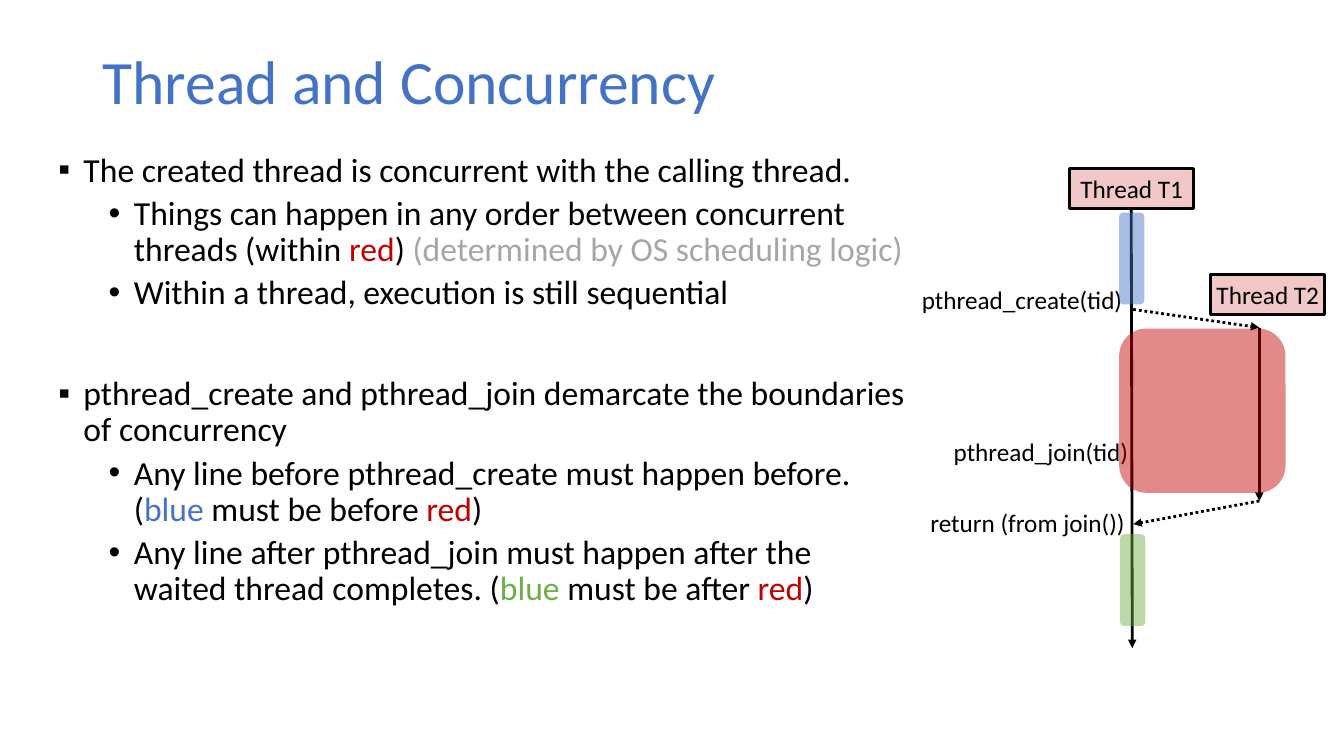
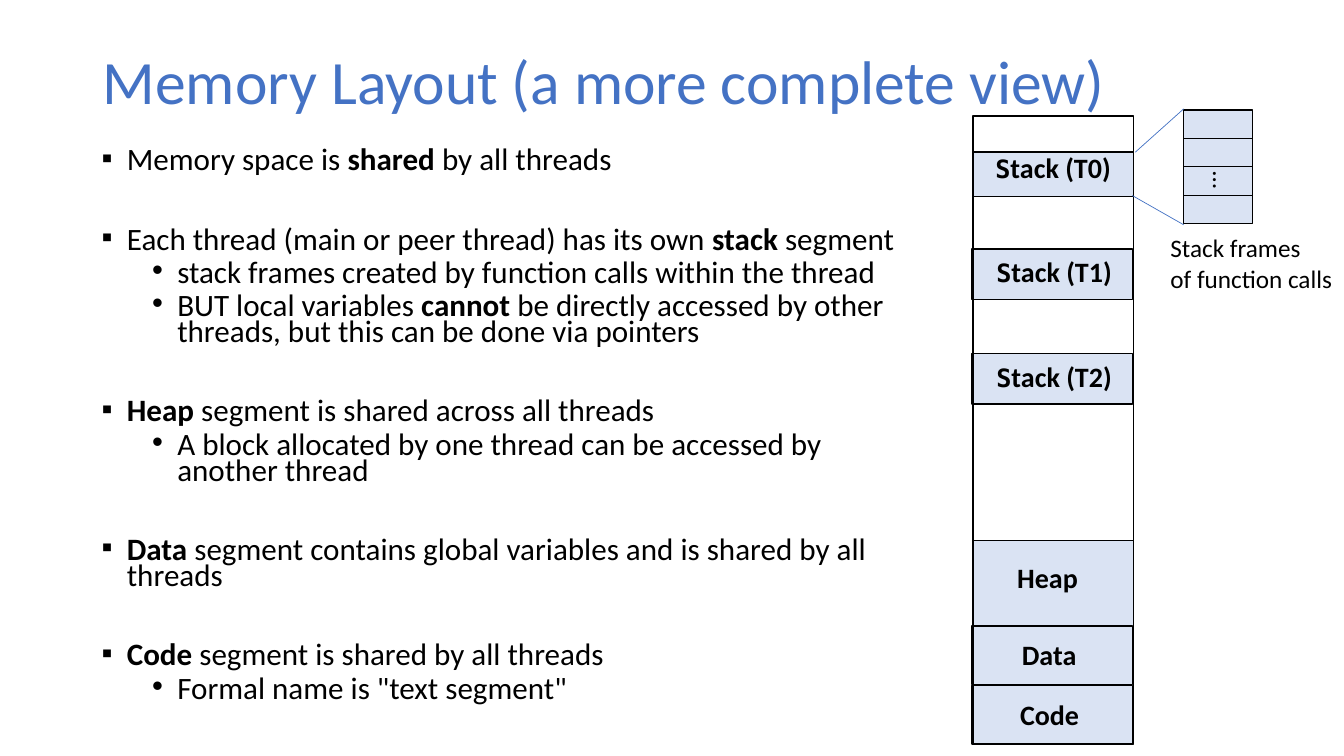
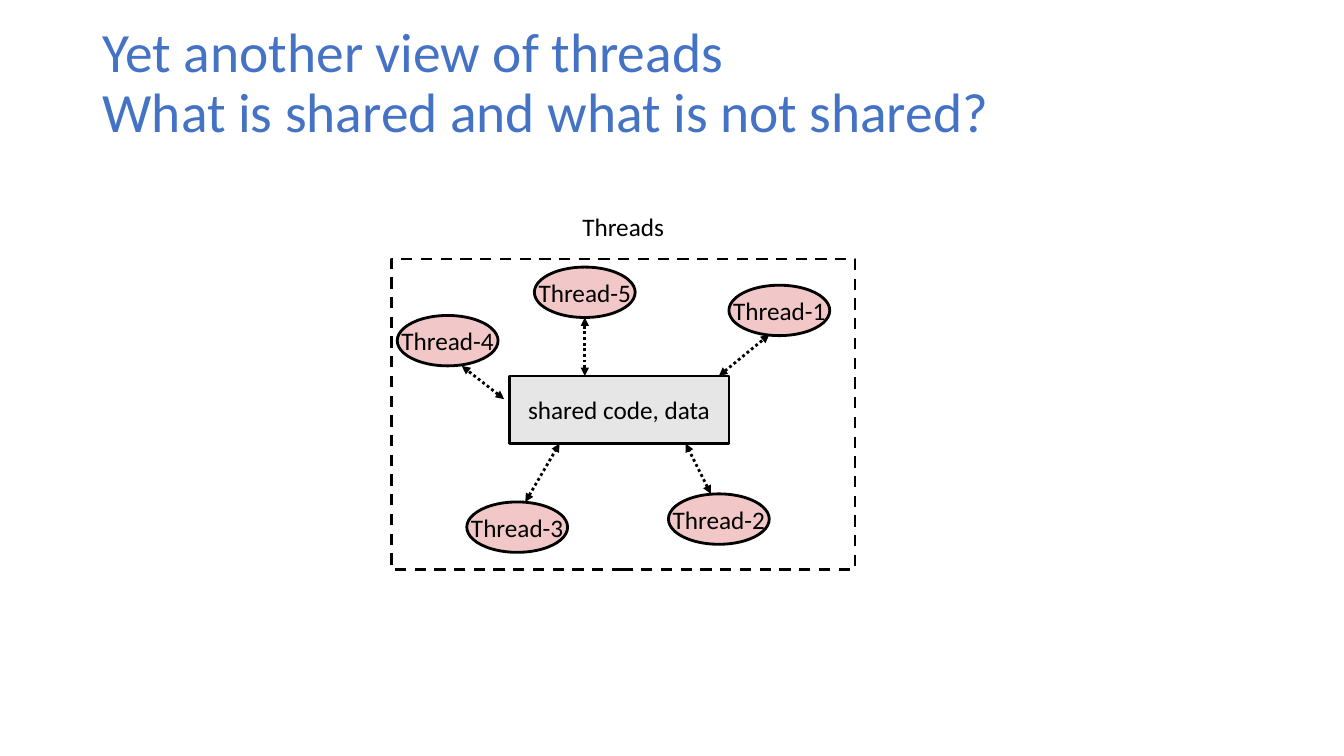
from dataclasses import dataclass

import lxml.etree
import pptx
import pptx.dml.color
import pptx.enum.dml
import pptx.enum.shapes
import pptx.enum.text
import pptx.oxml.ns
import pptx.util

Inches = pptx.util.Inches
Pt = pptx.util.Pt
qn = pptx.oxml.ns.qn
Shape = pptx.enum.shapes.MSO_SHAPE
Align = pptx.enum.text.PP_ALIGN
Anchor = pptx.enum.text.MSO_ANCHOR
Dash = pptx.enum.dml.MSO_LINE


@dataclass(frozen=True)
class Theme:
    blue: str = "4472C4"
    red: str = "C00000"
    green: str = "70AD47"
    grey: str = "A6A6A6"
    black: str = "000000"
    pink: str = "F1C7C7"
    segment: str = "DAE3F3"
    shared: str = "E6E6E6"
    font: str = "Calibri"
    mono: str = "DejaVu Sans Mono"
    title: float = 44
    two_line_title: float = 39.6
    body: float = 24
    dense_body: float = 22.2
    segment_label: float = 20
    label: float = 18
    thick: float = 2
    thin: float = 1
    hairline: float = 0.5


THEME = Theme()


@dataclass(frozen=True)
class Rect:
    left: float
    top: float
    width: float
    height: float

    def emu(self) -> tuple:
        return tuple(Inches(v) for v in (self.left, self.top, self.width, self.height))


@dataclass(frozen=True)
class Span:
    text: str
    color: str = THEME.black
    bold: bool = False
    font: str = THEME.font
    size: float = THEME.label


@dataclass(frozen=True)
class Item:
    """One bulleted paragraph; before is the space above it in points."""
    spans: tuple[Span, ...]
    level: int = 0
    before: float = 10


@dataclass(frozen=True)
class Arrow:
    start: tuple[float, float]
    end: tuple[float, float]
    dotted: bool = True


@dataclass(frozen=True)
class Segment:
    rect: Rect
    label: Rect
    spans: tuple[Span, ...]
    align: Align = Align.CENTER


TITLE_RECT = Rect(0.92, 0.4, 11.5, 0.87)


def rgb(color: str):
    return pptx.dml.color.RGBColor.from_string(color)


def add_span(para, span: Span, size: float) -> None:
    run = para.add_run()
    run.text = span.text
    run.font.name = span.font
    run.font.size = Pt(size)
    run.font.bold = span.bold
    run.font.color.rgb = rgb(span.color)


def add_text(page, rect: Rect, *lines: tuple[Span, ...], align=Align.LEFT,
             wrap: bool = True, anchor=Anchor.TOP):
    box = page.shapes.add_textbox(*rect.emu())
    fill_text(box.text_frame, lines, align, wrap, anchor)
    return box


def fill_text(frame, lines, align, wrap: bool, anchor) -> None:
    frame.word_wrap = wrap
    frame.vertical_anchor = anchor
    for index, spans in enumerate(lines):
        para = frame.add_paragraph() if index else frame.paragraphs[0]
        para.alignment = align
        for span in spans:
            add_span(para, span, span.size)


def add_title(page, *lines: str, size: float = THEME.title) -> None:
    box = page.shapes.add_textbox(*TITLE_RECT.emu())
    box.text_frame.word_wrap = True
    box.text_frame.vertical_anchor = Anchor.MIDDLE
    para = box.text_frame.paragraphs[0]
    para.line_spacing = 0.9
    for index, line in enumerate(lines):
        if index:
            para.add_line_break()
        add_span(para, Span(line, THEME.blue), size)


def add_bullets(page, rect: Rect, items: tuple[Item, ...], size: float, spacing: float) -> None:
    frame = page.shapes.add_textbox(*rect.emu()).text_frame
    frame.word_wrap = True
    for index, item in enumerate(items):
        para = frame.add_paragraph() if index else frame.paragraphs[0]
        props = para._p.get_or_add_pPr()
        props.set("marL", str(Inches(0.25 + 0.5 * item.level)))
        props.set("indent", str(Inches(-0.25)))
        lxml.etree.SubElement(props, qn("a:buFont"), typeface="Arial")
        lxml.etree.SubElement(props, qn("a:buChar"), char="▪•"[item.level])
        para.level = item.level
        para.line_spacing = spacing
        para.space_before = Pt(item.before if index else 0)
        for span in item.spans:
            add_span(para, span, size)


def add_box(page, rect: Rect, fill: str | None = None, width: float | None = THEME.thick,
            kind=Shape.RECTANGLE, text: str = "", dashed: bool = False):
    """Draw a shape; no fill or no line width leaves that part out."""
    box = page.shapes.add_shape(kind, *rect.emu())
    box.shadow.inherit = False
    if fill:
        box.fill.solid()
        box.fill.fore_color.rgb = rgb(fill)
    else:
        box.fill.background()
    if width:
        box.line.color.rgb = rgb(THEME.black)
        box.line.width = Pt(width)
        if dashed:
            box.line.dash_style = Dash.DASH
    else:
        box.line.fill.background()
    if text:
        fill_text(box.text_frame, ((Span(text),),), Align.CENTER, False, Anchor.MIDDLE)
    return box


def add_period(page, rect: Rect, color: str) -> None:
    """Mark a stretch of execution with a translucent rounded box."""
    box = add_box(page, rect, color, None, Shape.ROUNDED_RECTANGLE)
    tint = box._element.spPr.find(qn("a:solidFill")).find(qn("a:srgbClr"))
    lxml.etree.SubElement(tint, qn("a:alpha"), val="46000")


def add_line(page, arrow: Arrow, color: str = THEME.black, width: float = THEME.thick,
             ends: tuple[str, ...] = ("tailEnd",)) -> None:
    points = (Inches(v) for v in arrow.start + arrow.end)
    line = page.shapes.add_connector(pptx.enum.shapes.MSO_CONNECTOR.STRAIGHT, *points)
    line.line.color.rgb = rgb(color)
    line.line.width = Pt(width)
    if arrow.dotted:
        line.line.dash_style = Dash.ROUND_DOT
    props = line._element.spPr
    for end in ends:
        lxml.etree.SubElement(props.find(qn("a:ln")), qn(f"a:{end}"), type="triangle")
    lxml.etree.SubElement(props, qn("a:effectLst"))


def build_concurrency(page) -> None:
    red = Span("red", THEME.red)
    add_title(page, "Thread and Concurrency")
    add_bullets(page, Rect(0.48, 1.47, 8.66, 5.29), (
        Item((Span("The created thread is concurrent with the calling thread."),)),
        Item((Span("Things can happen in any order between concurrent threads (within "), red,
              Span(") "), Span("(determined by OS scheduling logic)", THEME.grey)), 1, 5),
        Item((Span("Within a thread, execution is still sequential"),), 1, 5),
        Item((Span("pthread_create and pthread_join demarcate the boundaries of concurrency"),),
             before=46),
        Item((Span("Any line before pthread_create must happen before. ("),
              Span("blue", THEME.blue), Span(" must be before "), red, Span(")")), 1, 5),
        Item((Span("Any line after pthread_join must happen after the waited thread completes. ("),
              Span("blue", THEME.green), Span(" must be after "), red, Span(")")), 1, 5),
    ), THEME.body, 0.9)

    add_box(page, Rect(10.61, 1.67, 1.23, 0.4), THEME.pink, text="Thread T1")
    add_box(page, Rect(12.01, 2.72, 1.13, 0.4), THEME.pink, text="Thread T2")
    fork, start, finish, rejoin = (11.24, 3.07), (12.49, 3.25), (12.49, 4.97), (11.24, 5.2)
    for arrow in (Arrow((11.22, 2.07), (11.23, 6.43), False), Arrow(fork, start),
                  Arrow(start, finish, False), Arrow(finish, rejoin)):
        add_line(page, arrow)
    for text, rect, align, wrap in (
        ("pthread_join(tid)", Rect(9.33, 4.28, 1.96, 0.4), Align.RIGHT, False),
        ("pthread_create(tid)", Rect(9.01, 2.77, 2.22, 0.4), Align.RIGHT, False),
        ("return (from join())", Rect(9.13, 4.98, 2.14, 0.4), Align.LEFT, True),
    ):
        add_text(page, rect, (Span(text),), align=align, wrap=wrap)
    add_period(page, Rect(11.1, 2.11, 0.25, 0.91), THEME.blue)
    add_period(page, Rect(11.1, 3.26, 1.65, 1.63), THEME.red)
    add_period(page, Rect(11.11, 5.3, 0.25, 0.91), THEME.green)


def segment_name(text: str) -> Span:
    return Span(text, bold=True, size=THEME.segment_label)


def stack_name(thread: str) -> tuple[Span, ...]:
    return Span("S", bold=True, font=THEME.mono), segment_name(f"tack ({thread})")


def build_memory(page) -> None:
    add_title(page, "Memory Layout (a more complete view)")
    segments = (
        Segment(Rect(9.65, 1.51, 1.59, 0.44), Rect(9.5, 1.44, 1.89, 0.44), stack_name("T0")),
        Segment(Rect(9.64, 2.47, 1.59, 0.5), Rect(9.66, 2.48, 1.59, 0.44), stack_name("T1")),
        Segment(Rect(9.64, 3.51, 1.59, 0.5), Rect(9.66, 3.52, 1.59, 0.44), stack_name("T2")),
        Segment(Rect(9.65, 5.36, 1.59, 0.87), Rect(9.99, 5.51, 0.89, 0.44),
                (segment_name("Heap"),), Align.LEFT),
        Segment(Rect(9.64, 6.21, 1.59, 0.58), Rect(9.99, 6.28, 0.83, 0.44),
                (segment_name("Data"),)),
        Segment(Rect(9.64, 6.8, 1.59, 0.58), Rect(9.97, 6.87, 0.88, 0.44),
                (segment_name("Code"),)),
    )
    for segment in segments:
        add_box(page, segment.rect, THEME.segment, THEME.thin)
        add_text(page, segment.label, segment.spans, align=segment.align)
    add_box(page, Rect(9.65, 1.15, 1.59, 6.23), width=THEME.thin)

    gap = 38
    add_bullets(page, Rect(0.91, 1.44, 8.18, 6.04), (
        Item((Span("Memory space is "), Span("shared", bold=True), Span(" by all threads"))),
        Item((Span("Each thread (main or peer thread) has its own "), Span("stack", bold=True),
              Span(" segment")), before=gap),
        Item((Span("stack frames created by function calls within the thread"),), 1, 5),
        Item((Span("BUT local variables "), Span("cannot", bold=True),
              Span(" be directly accessed by other threads, but this can be done via pointers")),
             1, 5),
        Item((Span("Heap", bold=True), Span(" segment is shared across all threads")), before=gap),
        Item((Span("A block allocated by one thread can be accessed by another thread"),), 1, 5),
        Item((Span("Data", bold=True),
              Span(" segment contains global variables and is shared by all threads")),
             before=gap),
        Item((Span("Code ", bold=True), Span("segment is shared by all threads")), before=gap),
        Item((Span('Formal name is "text segment"'),), 1, 5),
    ), THEME.dense_body, 0.7)

    frame_count, frames_top, frames_height = 4, 1.09, 1.13
    frame_height = frames_height / frame_count
    for index in range(frame_count):
        add_box(page, Rect(11.74, frames_top + index * frame_height, 0.68, frame_height),
                THEME.segment, THEME.thin)
    ellipsis = add_text(page, Rect(11.94, 1.59, 0.38, 0.4), (Span("…"),), wrap=False)
    ellipsis.rotation = 90
    for guide in (Arrow((11.26, 1.51), (11.74, 1.08), False),
                  Arrow((11.23, 1.94), (11.74, 2.23), False)):
        add_line(page, guide, THEME.blue, THEME.hairline, ())
    add_text(page, Rect(11.51, 2.26, 1.83, 0.71), (Span("Stack frames"),),
             (Span("of function calls"),), wrap=False)


def build_sharing(page) -> None:
    add_title(page, "Yet another view of threads", "What is shared and what is not shared?",
              size=THEME.two_line_title)
    add_box(page, Rect(3.88, 2.57, 4.6, 3.08), dashed=True)
    add_text(page, Rect(5.67, 2.05, 1.02, 0.4), (Span("Threads"),), align=Align.CENTER,
             wrap=False, anchor=Anchor.MIDDLE)
    thread_corners = ((7.23, 2.83), (6.63, 4.9), (4.63, 4.98), (3.94, 3.13), (5.3, 2.65))
    for number, (left, top) in enumerate(thread_corners, 1):
        add_box(page, Rect(left, top, 1, 0.5), THEME.pink, kind=Shape.OVAL,
                text=f"Thread-{number}")
    add_box(page, Rect(5.05, 3.73, 2.18, 0.67), THEME.shared, text="shared code, data")
    for arrow in (Arrow((5.21, 4.98), (5.55, 4.4)), Arrow((7.05, 4.9), (6.8, 4.4)),
                  Arrow((5, 3.96), (4.58, 3.63)), Arrow((5.8, 3.73), (5.8, 3.15)),
                  Arrow((7.13, 3.73), (7.63, 3.32))):
        add_line(page, arrow, ends=("headEnd", "tailEnd"))


def main() -> None:
    deck = pptx.Presentation()
    deck.slide_width, deck.slide_height = Inches(13.33), Inches(7.5)
    blank = deck.slide_layouts[6]
    for build in (build_concurrency, build_memory, build_sharing):
        build(deck.slides.add_slide(blank))
    deck.save("out.pptx")


if __name__ == "__main__":
    main()
